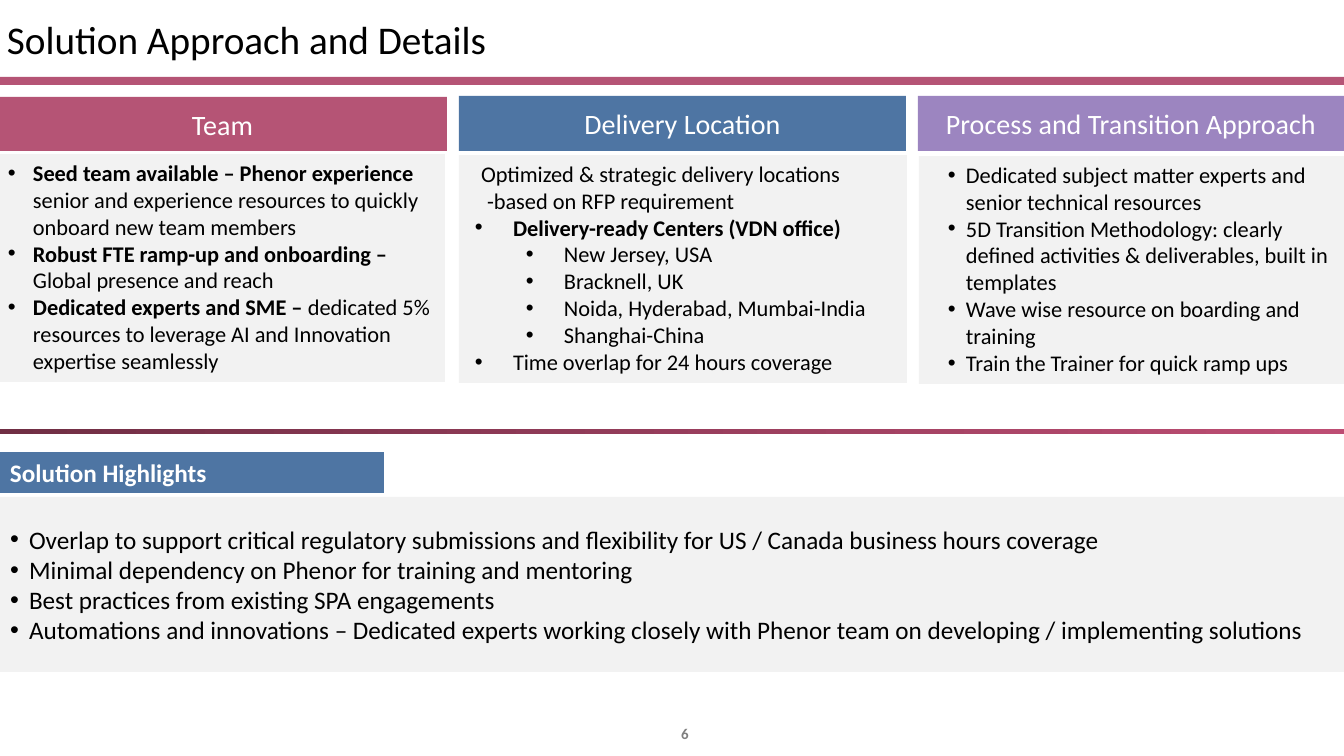
from lxml import etree
from pptx import Presentation
from pptx.dml.color import RGBColor
from pptx.enum.shapes import MSO_SHAPE
from pptx.enum.text import MSO_ANCHOR, PP_ALIGN
from pptx.oxml.ns import qn
from pptx.util import Pt

RECT = MSO_SHAPE.RECTANGLE
TOP, MIDDLE = MSO_ANCHOR.TOP, MSO_ANCHOR.MIDDLE
LEFT, CENTER = PP_ALIGN.LEFT, PP_ALIGN.CENTER
EMU_PER_PX = 12192000 / 1344
FONT = "Calibri"
COLORS = {
    "black": "000000", "white": "FFFFFF", "grey": "808080", "panel": "F2F2F2",
    "rose": "B55475", "blue": "4E75A3", "purple": "9C85C0",
    "rule_start": "702E44", "rule_end": "BD4D73",
}

# Paragraph styles: left margin and first-line indent in px, bullet, level
TEAM_ITEM = (25, -25, True, 0)
INTRO = (18, -6, False, 0)
CENTERS = (44, -38, True, 0)
CITY = (95, -38, True, 1)
PROCESS_ITEM = (37, -18, True, 0)
HIGHLIGHT = (19, -19, True, 0)
PLAIN = (0, 0, False, 0)

# Each paragraph: style, bold part, regular part
TEAM = [
    (TEAM_ITEM, "Seed team available – Phenor experience ",
     "senior and experience resources to quickly onboard new team members"),
    (TEAM_ITEM, "Robust FTE ramp-up and onboarding – ", "Global presence and reach"),
    (TEAM_ITEM, "Dedicated experts and SME – ",
     "dedicated 5% resources to leverage AI and Innovation expertise seamlessly"),
]
DELIVERY = [
    (INTRO, "", "Optimized & strategic delivery locations -based on RFP requirement"),
    (CENTERS, "Delivery-ready Centers (VDN office)", ""),
    (CITY, "", "New Jersey, USA"),
    (CITY, "", "Bracknell, UK"),
    (CITY, "", "Noida, Hyderabad, Mumbai-India"),
    (CITY, "", "Shanghai-China"),
    (CENTERS, "", "Time overlap for 24 hours coverage"),
]
PROCESS = [(PROCESS_ITEM, "", text) for text in (
    "Dedicated subject matter experts and senior technical resources",
    "5D Transition Methodology: clearly defined activities & deliverables, built in templates",
    "Wave wise resource on boarding and training",
    "Train the Trainer for quick ramp ups",
)]
HIGHLIGHTS = [(HIGHLIGHT, "", text) for text in (
    "Overlap to support critical regulatory submissions and flexibility for US / Canada "
    "business hours coverage",
    "Minimal dependency on Phenor for training and mentoring",
    "Best practices from existing SPA engagements",
    "Automations and innovations – Dedicated experts working closely with Phenor team "
    "on developing / implementing solutions",
)]
# Heading, colour, heading box, body box, paragraphs
COLUMNS = [
    ("Team", "rose", (-2, 97, 449, 54), (-2, 154, 447, 228), TEAM),
    ("Delivery Location", "blue", (459, 96, 447, 55), (459, 155, 448, 228), DELIVERY),
    ("Process and Transition Approach", "purple", (918, 96, 426, 55),
     (919, 156, 425, 228), PROCESS),
]


def px(length):
    return round(length * EMU_PER_PX)


def rgb(name):
    return RGBColor.from_string(COLORS[name])


def apply_format(target, values):
    for name, value in values.items():
        setattr(target, name, value)


def format_run(run, size, color, bold):
    apply_format(run.font, {"name": FONT, "size": Pt(size), "bold": bold})
    run.font.color.rgb = rgb(color)


def format_frame(frame, anchor, side=10, edge=5):
    apply_format(frame, {
        "word_wrap": True, "vertical_anchor": anchor,
        "margin_left": px(side), "margin_right": px(side),
        "margin_top": px(edge), "margin_bottom": px(edge)})


def set_indent(paragraph, margin, indent, bullet):
    properties = paragraph._p.get_or_add_pPr()
    properties.set("marL", str(px(margin)))
    properties.set("indent", str(px(indent)))
    if bullet:
        etree.SubElement(properties, qn("a:buFont"), typeface="Arial")
        etree.SubElement(properties, qn("a:buChar"), char="•")
    else:
        etree.SubElement(properties, qn("a:buNone"))


def write(frame, paragraphs, size, color="black", align=LEFT):
    for index, (style, strong, regular) in enumerate(paragraphs):
        paragraph = frame.paragraphs[0] if index == 0 else frame.add_paragraph()
        margin, indent, bullet, level = style
        set_indent(paragraph, margin, indent, bullet)
        apply_format(paragraph, {"level": level, "alignment": align})
        for text, bold in ((strong, True), (regular, False)):
            if text:
                run = paragraph.add_run()
                run.text = text
                format_run(run, size, color, bold)


def add_block(slide, box, color):
    block = slide.shapes.add_shape(RECT, *map(px, box))
    block.shadow.inherit = False
    block.fill.solid()
    block.fill.fore_color.rgb = rgb(color)
    block.line.fill.background()
    return block


def add_header(slide, box):
    left, top, width, height = box
    title = slide.shapes.title
    apply_format(title, {"left": px(left), "top": px(top),
                         "width": px(width), "height": px(height)})
    format_frame(title.text_frame, MIDDLE, 7, 4)
    write(title.text_frame, [(PLAIN, "", "Solution Approach and Details")], 28)
    add_block(slide, (left, top + height, width, 8), "rose")


def add_column(slide, heading, color, heading_box, body_box, paragraphs):
    banner = add_block(slide, heading_box, color).text_frame
    format_frame(banner, MIDDLE)
    write(banner, [(PLAIN, "", heading)], 20, "white", CENTER)
    body = add_block(slide, body_box, "panel").text_frame
    format_frame(body, TOP)
    write(body, paragraphs, 16)


def add_divider(slide, box):
    divider = add_block(slide, box, "rule_start")
    divider.fill.gradient()
    divider.fill.gradient_angle = 0
    for stop, color in zip(divider.fill.gradient_stops, ("rule_start", "rule_end")):
        stop.color.rgb = rgb(color)


def add_highlights(slide, box):
    left, top, width, height = box
    label = add_block(slide, (left, top, 384, 41), "blue").text_frame
    format_frame(label, TOP)
    write(label, [(PLAIN, "Solution Highlights", "")], 18, "white")
    panel = add_block(slide, (left, top + 45, width, height - 45), "panel").text_frame
    format_frame(panel, MIDDLE, 10, 0)
    write(panel, HIGHLIGHTS, 18)


def add_page_number(slide, box):
    frame = slide.shapes.add_textbox(*map(px, box)).text_frame
    format_frame(frame, MIDDLE)
    write(frame, [(PLAIN, "6", "")], 10.7, "grey", CENTER)


def main():
    deck = Presentation()
    deck.slide_width, deck.slide_height = px(1344), px(756)
    slide = deck.slides.add_slide(deck.slide_layouts[5])
    add_header(slide, (0, 0, 1344, 77))
    for column in COLUMNS:
        add_column(slide, *column)
    add_divider(slide, (-2, 429, 1346, 5))
    add_highlights(slide, (0, 452, 1344, 220))
    add_page_number(slide, (636, 714, 98, 39))
    deck.save("out.pptx")


if __name__ == "__main__":
    main()
